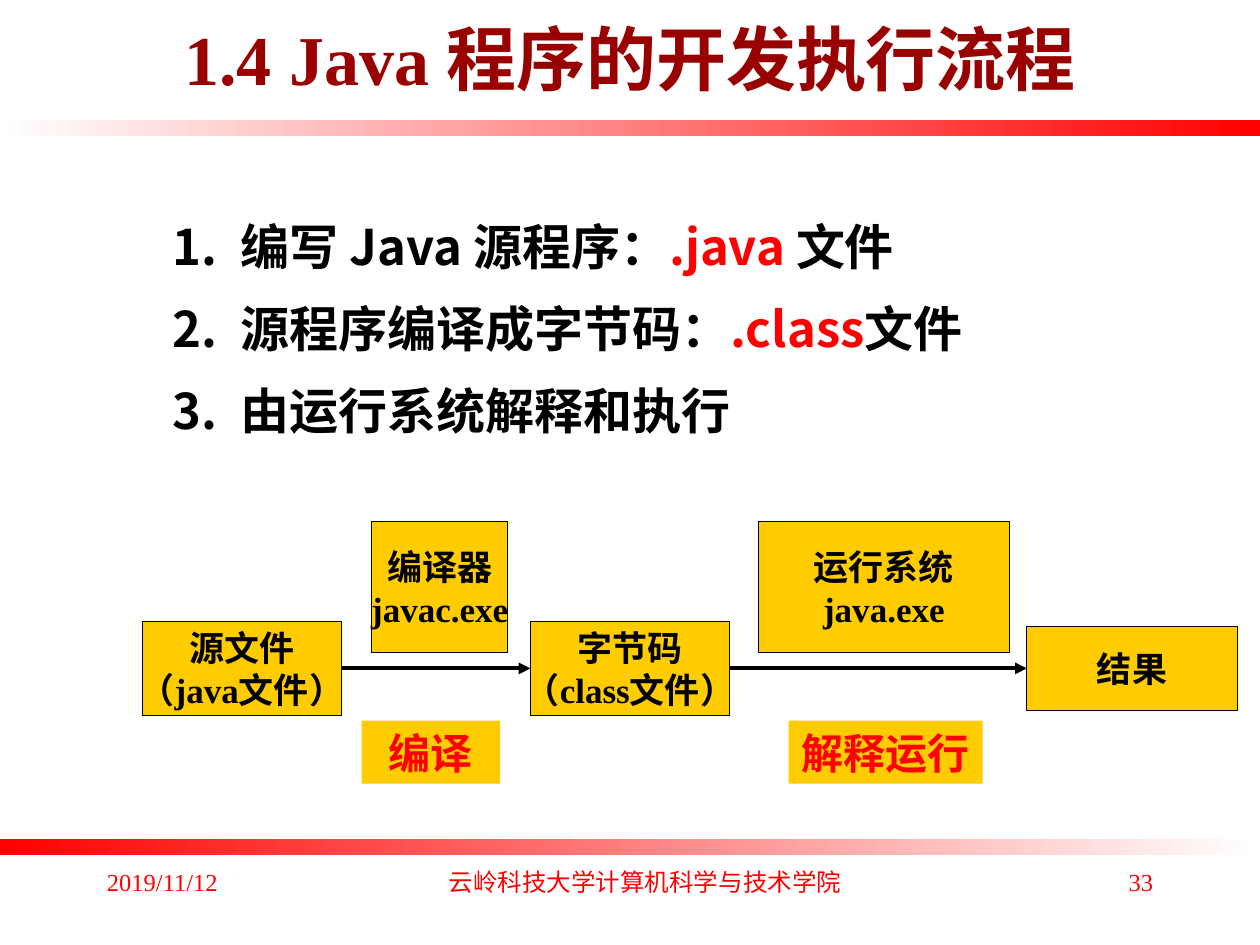
import pptx
import pptx.util
import pptx.dml.color
import pptx.enum.shapes
import pptx.enum.text
import lxml.etree
from dataclasses import dataclass


@dataclass(frozen=True)
class Theme:
    title_color: str = "990000"
    text_color: str = "000000"
    accent: str = "FF0000"
    paper: str = "FFFFFF"
    box: str = "FFCC00"
    serif: str = "Times New Roman"
    sans: str = "Lato"
    chinese: str = "Noto Sans CJK SC"
    title_size: int = 40
    list_size: int = 28
    label_size: int = 24
    box_size: int = 20
    footer_size: int = 14


theme = Theme()
ALIGN = pptx.enum.text.PP_ALIGN
ANCHOR = pptx.enum.text.MSO_ANCHOR
RECTANGLE = pptx.enum.shapes.MSO_SHAPE.RECTANGLE
rgb = pptx.dml.color.RGBColor.from_string

presentation = pptx.Presentation()
presentation.slide_width = pptx.util.Inches(10)
presentation.slide_height = pptx.util.Inches(7.5)
COLUMN = presentation.slide_width / 100
ROW = presentation.slide_height / 75


def place(left, top, width, height):
    """Turn a position on the grid of 100 columns and 75 rows into lengths."""
    return int(left * COLUMN), int(top * ROW), int(width * COLUMN), int(height * ROW)


def write_text(shape, paragraphs, *, size, color=theme.text_color, font=theme.serif,
               bold=True, align=ALIGN.CENTER, anchor=ANCHOR.MIDDLE, wrap=True,
               leading=1.2, before=0):
    """Fill a shape; a paragraph is a string or a list of (text, changes) runs."""
    frame = shape.text_frame
    frame.auto_size = pptx.enum.text.MSO_AUTO_SIZE.NONE
    frame.word_wrap = wrap
    frame.vertical_anchor = anchor
    for index, content in enumerate(paragraphs):
        paragraph = frame.add_paragraph() if index else frame.paragraphs[0]
        paragraph.alignment = align
        paragraph.line_spacing = pptx.util.Pt(round(size * leading))
        paragraph.space_before = pptx.util.Pt(before)
        runs = [(content, {})] if isinstance(content, str) else content
        for text, changes in runs:
            run = paragraph.add_run()
            run.text = text
            run.font.size = pptx.util.Pt(size)
            run.font.bold = bold
            run.font.name = changes.get("font", font)
            run.font.color.rgb = rgb(changes.get("color", color))


slide = presentation.slides.add_slide(presentation.slide_layouts[1])
shapes = slide.shapes

# Gradient bars above and below the content
for top, colors in ((9.5, (theme.paper, theme.accent)), (66.6, (theme.accent, theme.paper))):
    bar = shapes.add_shape(RECTANGLE, *place(0, top, 100, 1.3))
    bar.shadow.inherit = False
    bar.line.fill.background()
    bar.fill.gradient()
    bar.fill.gradient_angle = 0
    for stop, color in zip(bar.fill.gradient_stops, colors):
        stop.color.rgb = rgb(color)

# Title
title = shapes.title
title.left, title.top, title.width, title.height = place(7.5, -1.7, 85, 12.5)
write_text(title, ["1.4 Java 程序的开发执行流程"], size=theme.title_size,
           color=theme.title_color)

# Numbered steps
steps = slide.placeholders[1]
steps.left, steps.top, steps.width, steps.height = place(10.9, 14.8, 82.4, 26.2)
highlight = {"color": theme.accent}
write_text(
    steps,
    [
        [("编写 Java 源程序：", {}), (".java ", highlight), ("文件", {})],
        [("源程序编译成字节码：", {}), (".class", highlight), ("文件", {})],
        "由运行系统解释和执行",
    ],
    size=theme.list_size, font=theme.chinese, align=ALIGN.LEFT, anchor=ANCHOR.TOP,
    leading=1.68,
)
for paragraph in steps.text_frame.paragraphs:
    properties = paragraph._p.get_or_add_pPr()
    properties.set("marL", str(int(7.2 * COLUMN)))
    properties.set("indent", str(int(-5.4 * COLUMN)))
    for tag, name, value in (("buFont", "typeface", theme.chinese),
                             ("buAutoNum", "type", "arabicPeriod")):
        lxml.etree.SubElement(properties, pptx.oxml.ns.qn("a:" + tag)).set(name, value)

# Flow boxes
flow = {
    "source": ((11.3, 49.3, 15.8, 7.5), ["源文件", "（java文件）"]),
    "compiler": ((29.5, 41.4, 10.8, 10.4), ["编译器", "javac.exe"]),
    "bytecode": ((42.1, 49.3, 15.8, 7.5), [
        [("字节码", {"font": theme.sans})],
        [("（", {"font": theme.sans}), ("class", {}), ("文件）", {"font": theme.sans})],
    ]),
    "runtime": ((60.2, 41.4, 19.9, 10.4), ["运行系统", "java.exe"]),
    "result": ((81.5, 49.7, 16.7, 6.7), ["结果"]),
}
boxes = {}
for name, (cell, paragraphs) in flow.items():
    box = boxes[name] = shapes.add_shape(RECTANGLE, *place(*cell))
    box.shadow.inherit = False
    box.fill.solid()
    box.fill.fore_color.rgb = rgb(theme.box)
    box.line.color.rgb = rgb(theme.text_color)
    box.line.width = pptx.util.Pt(0.75)
    write_text(box, paragraphs, size=theme.box_size, wrap=False)

# Labels under the arrows
for cell, text in (((28.7, 57.2, 11, 5), "编译"), ((62.6, 57.2, 15.4, 5), "解释运行")):
    label = shapes.add_shape(RECTANGLE, *place(*cell))
    label.shadow.inherit = False
    label.fill.solid()
    label.fill.fore_color.rgb = rgb(theme.box)
    label.line.fill.background()
    write_text(label, [text], size=theme.label_size, color=theme.accent, wrap=False)

# Arrows from stage to stage
for start, end in (("source", "bytecode"), ("bytecode", "result")):
    arrow = shapes.add_connector(pptx.enum.shapes.MSO_CONNECTOR.STRAIGHT, 0, 0, 0, 0)
    arrow.begin_connect(boxes[start], 3)
    arrow.end_connect(boxes[end], 1)
    arrow.line.color.rgb = rgb(theme.text_color)
    arrow.line.width = pptx.util.Pt(2.25)
    line = arrow.line._get_or_add_ln()
    lxml.etree.SubElement(line, pptx.oxml.ns.qn("a:tailEnd")).set("type", "triangle")
    lxml.etree.SubElement(arrow._element.spPr, pptx.oxml.ns.qn("a:effectLst"))

# Footer
for left, width, text, font, align in (
    (7.5, 20.8, "2019/11/12", theme.serif, ALIGN.LEFT),
    (34.2, 34, "云岭科技大学计算机科学与技术学院", theme.chinese, ALIGN.CENTER),
    (71.7, 20.8, "33", theme.serif, ALIGN.RIGHT),
):
    footer = shapes.add_textbox(*place(left, 68.3, width, 5))
    write_text(footer, [text], size=theme.footer_size, color=theme.accent, font=font,
               bold=False, align=align, anchor=ANCHOR.TOP, before=7)

presentation.save("out.pptx")
